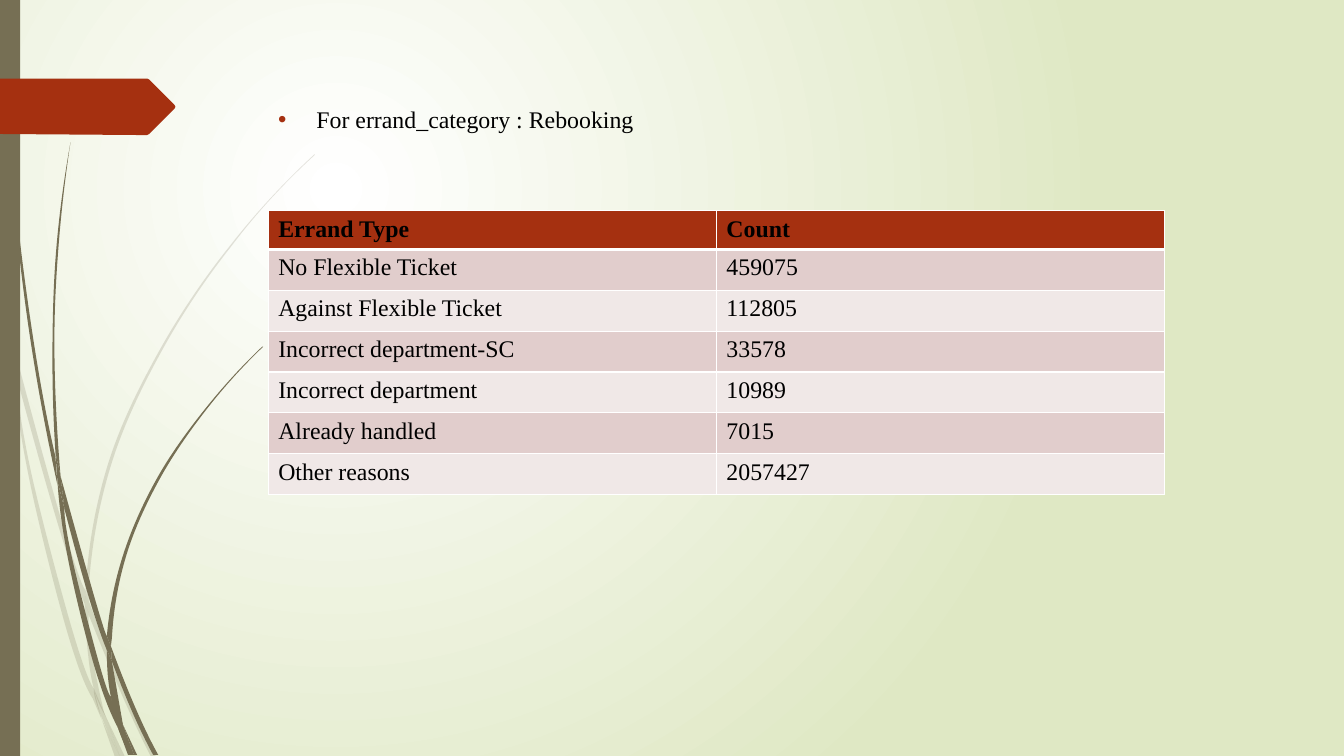
from pptx import Presentation
from pptx import util as u
from pptx.dml.color import RGBColor
from pptx.enum import shapes, text
from pptx.oxml import parse_xml
from pptx.oxml.ns import nsdecls, qn

TITLE = "For errand_category : Rebooking"
ROWS = [
    ("Errand Type", "Count"),
    ("No Flexible Ticket", "459075"),
    ("Against Flexible Ticket", "112805"),
    ("Incorrect department-SC", "33578"),
    ("Incorrect department", "10989"),
    ("Already handled", "7015"),
    ("Other reasons", "2057427"),
]
FONT, SIZE = "Times New Roman", 17
OLIVE = RGBColor(0x76, 0x6F, 0x54)
RUST = RGBColor(0xA5, 0x30, 0x10)
BLACK = RGBColor(0, 0, 0)
BANDS = [RGBColor(0xF0, 0xE8, 0xE7), RGBColor(0xE1, 0xCD, 0xCC)]
TAG = [[pt] for pt in (
    (0, 0.78), (1.46, 0.78), (1.48, 0.79), (1.73, 1.04), (1.74, 1.06),
    (1.73, 1.08), (1.48, 1.33), (1.46, 1.34), (1.36, 1.34), (0, 1.33))]

# Each blade of grass is a list of smooth edges, in inches.
FAINT = [
    [[(0.11, 3.5), (0.09, 3.22), (0, 2.82)], [(0, 2.99), (0.1, 3.44)]],
    [[(0.14, 3.45), (0.17, 3.76)], [(0.17, 3.76), (0.58, 5.22), (0.84, 5.99)],
     [(0.85, 5.86), (0.62, 5.2), (0.14, 3.45)]],
    [[(0.88, 5.96), (0.88, 6.1)], [(0.88, 6.1), (1.23, 6.94), (1.5, 7.51)],
     [(1.55, 7.51), (1.27, 6.92), (0.92, 6.07)]],
    [[(1.05, 7.11), (1.19, 7.51)], [(1.24, 7.51)]],
    [[(0.11, 3.5), (0.28, 4.7), (0.65, 6.21), (0.92, 6.93)], [(1.01, 7.14)],
     [(0.93, 6.83), (0.7, 6.19), (0.31, 4.69), (0.17, 3.76)]],
    [[(0.84, 5.99), (0.87, 6.46), (0.93, 6.83), (1.05, 7.11)],
     [(1.03, 7.06), (0.91, 6.46), (0.88, 6.08)]],
    [[(0.88, 5.84), (1.1, 4.62), (1.6, 3.49), (2.29, 2.45)],
     [(2.29, 2.45), (2.68, 1.98), (3.12, 1.54)],
     [(3.12, 1.53), (2.68, 1.97), (2.28, 2.44)],
     [(2.28, 2.44), (1.58, 3.48), (1.07, 4.61), (0.85, 5.84)], [(0.88, 5.96)]],
    [[(1.01, 7.14), (1.14, 7.51)], [(1.19, 7.51)]],
    [[(0.88, 6.08), (0.88, 5.96)], [(0.85, 5.86), (0.84, 5.99)]],
    [[(0.93, 6.83), (0.99, 7.07), (1.19, 7.51)], [(1.05, 7.11)]],
]
SOLID = [
    [[(0.03, 0), (0.07, 1.1), (0.17, 2.33), (0.33, 3.55), (0.57, 4.81)],
     [(0.55, 4.53), (0.36, 3.55), (0.19, 2.32), (0.08, 1.09), (0.04, 0)]],
    [[(0.6, 4.72), (0.64, 5.05)], [(0.64, 5.05), (0.88, 5.92), (1.06, 6.45)],
     [(1.06, 6.31), (0.93, 5.9), (0.6, 4.72)]],
    [[(1.1, 6.41), (1.11, 6.56)], [(1.11, 6.56), (1.32, 7.08), (1.52, 7.49)],
     [(1.57, 7.49), (1.36, 7.06), (1.13, 6.49)]],
    [[(0.57, 4.77), (0.68, 5.57), (0.93, 6.59), (1.17, 7.22)],
     [(1.1, 6.91), (0.98, 6.57), (0.72, 5.56), (0.64, 5.05)]],
    [[(0.6, 4.72), (0.54, 3.49), (0.58, 2.45), (0.7, 1.41)],
     [(0.7, 1.41), (0.56, 2.45), (0.52, 3.49), (0.55, 4.49)]],
    [[(1.22, 7.19), (1.33, 7.49)], [(1.36, 7.49)]],
    [[(0.57, 4.77), (0.64, 5.05)], [(0.6, 4.72), (0.55, 4.49)]],
    [[(1.11, 6.33), (1.25, 5.52), (1.58, 4.76), (2.05, 4.06), (2.61, 3.44)],
     [(2.6, 3.44), (2.04, 4.05), (1.56, 4.74), (1.22, 5.51), (1.06, 6.31)],
     [(1.1, 6.41)]],
    [[(1.17, 7.22), (1.27, 7.49)], [(1.31, 7.49)]],
    [[(1.06, 6.45), (1.1, 6.91), (1.22, 7.19)], [(1.11, 6.56)]],
    [[(1.06, 6.45), (1.11, 6.56)], [(1.1, 6.41), (1.06, 6.31)]],
    [[(1.1, 6.91), (1.17, 7.22), (1.3, 7.49)], [(1.33, 7.49), (1.22, 7.19)]],
]


def mix(*terms):
    """Weighted sum of points, each term a (weight, point) pair."""
    return tuple(sum(w * pt[i] for w, pt in terms) for i in (0, 1))


def bend(edge):
    """Segments of an edge: a lone point for a line, three for a curve."""
    if len(edge) < 3:
        return [[pt] for pt in edge]
    first, last = (mix((3, a), (-3, b), (1, c))
                   for a, b, c in (edge[:3], edge[:-4:-1]))
    ends = [first, *edge, last]
    return [[edge[0]]] + [
        [mix((1, b), (1 / 6, c), (-1 / 6, a)),
         mix((1, c), (1 / 6, b), (-1 / 6, d)), c]
        for a, b, c, d in zip(ends, ends[1:], ends[2:], ends[3:])]


def paint(shape, color, alpha=None):
    shape.shadow.inherit = False
    shape.fill.solid()
    shape.fill.fore_color.rgb = color
    shape.line.fill.background()
    if alpha:
        clr = shape.element.spPr.find(qn("a:solidFill"))[0]
        clr.append(parse_xml(f'<a:alpha {nsdecls("a")} val="{alpha * 1000}"/>'))


def outline(host, edges, color, alpha=None):
    parts = [part for edge in edges for part in bend(edge)]
    pts = [(u.Inches(x), u.Inches(y)) for part in parts for x, y in part]
    form = host.build_freeform(*pts[0])
    form.add_line_segments(pts[1:], close=True)
    shape = form.convert_to_shape()
    lines = iter(list(shape.element.iter(qn("a:lnTo"))))
    for part in parts[1:]:
        step = [next(lines) for _ in part]
        if len(step) == 3:
            curve = parse_xml(f'<a:cubicBezTo {nsdecls("a")}/>')
            step[0].addprevious(curve)
            for line in step:
                curve.append(line[0])
                line.getparent().remove(line)
    paint(shape, color, alpha)


def write(frame, words, size=SIZE, bold=False, color=BLACK):
    par = frame.paragraphs[0]
    run = par.add_run()
    run.text = words
    run.font.name, run.font.size = FONT, u.Pt(size)
    run.font.bold, run.font.color.rgb = bold, color
    return par


def border(cell, low):
    """White cell edges; low is the width of the bottom one in points."""
    props = cell._tc.get_or_add_tcPr()
    for i, (side, wide) in enumerate(zip("LRTB", (1, 1, 1, low))):
        props.insert(i, parse_xml(
            f'<a:ln{side} {nsdecls("a")} w="{u.Pt(wide)}"><a:solidFill>'
            f'<a:srgbClr val="FFFFFF"/></a:solidFill></a:ln{side}>'))


def backdrop(slide):
    slide.background.fill.solid()
    back = slide.element.find(".//" + qn("p:bgPr"))
    back.replace(back[0], parse_xml(
        f'<a:gradFill {nsdecls("a")} rotWithShape="1"><a:gsLst>'
        '<a:gs pos="0"><a:srgbClr val="FFFFFF"/></a:gs>'
        '<a:gs pos="100000"><a:srgbClr val="DFE8C4"/></a:gs></a:gsLst>'
        '<a:path path="circle"><a:fillToRect l="50000" t="50000" '
        'r="100000" b="100000"/></a:path></a:gradFill>'))


def heading(slide):
    box = slide.shapes.add_textbox(
        u.Inches(2.66), u.Inches(0.99), u.Inches(9.75), u.Inches(0.63))
    box.text_frame.word_wrap = True
    box.text_frame.vertical_anchor = text.MSO_ANCHOR.TOP
    par = write(box.text_frame, TITLE)
    par.space_before = u.Pt(10)
    props = par._p.get_or_add_pPr()
    props.set("marL", str(u.Inches(0.38)))
    props.set("indent", str(u.Inches(-0.38)))
    for tag in (f'buClr {nsdecls("a")}><a:srgbClr val="{RUST}"/></a:buClr>',
                f'buFont {nsdecls("a")} typeface="Arial"/>',
                f'buChar {nsdecls("a")} char="•"/>'):
        props.append(parse_xml("<a:" + tag))


def grid(slide):
    wide, tall = u.Inches(8.89), u.Inches(2.82)
    frame = slide.shapes.add_table(
        len(ROWS), 2, u.Inches(2.66), u.Inches(2.09), wide, tall)
    table = frame.table
    for col in table.columns:
        col.width = wide // 2
    for r, row in enumerate(ROWS):
        table.rows[r].height = u.Pt(29.2 if r else 0)  # header fits its text
        for c, words in enumerate(row):
            cell = table.cell(r, c)
            cell.fill.solid()
            cell.fill.fore_color.rgb = BANDS[r % 2] if r else RUST
            border(cell, 1 if r else 3)
            write(cell.text_frame, words, bold=r == 0)
    frame.height = tall


def main():
    deck = Presentation()
    deck.slide_width, deck.slide_height = u.Inches(13.33), u.Inches(7.5)
    slide = deck.slides.add_slide(deck.slide_layouts[6])
    backdrop(slide)
    for blades, alpha in ((FAINT, 20), (SOLID, None)):
        group = slide.shapes.add_group_shape()
        for edges in blades:
            outline(group.shapes, edges, OLIVE, alpha)
    bar = slide.shapes.add_shape(
        shapes.MSO_SHAPE.RECTANGLE, 0, 0, u.Inches(0.2), deck.slide_height)
    paint(bar, OLIVE)
    outline(slide.shapes, TAG, RUST)
    heading(slide)
    grid(slide)
    deck.save("out.pptx")


if __name__ == "__main__":
    main()
